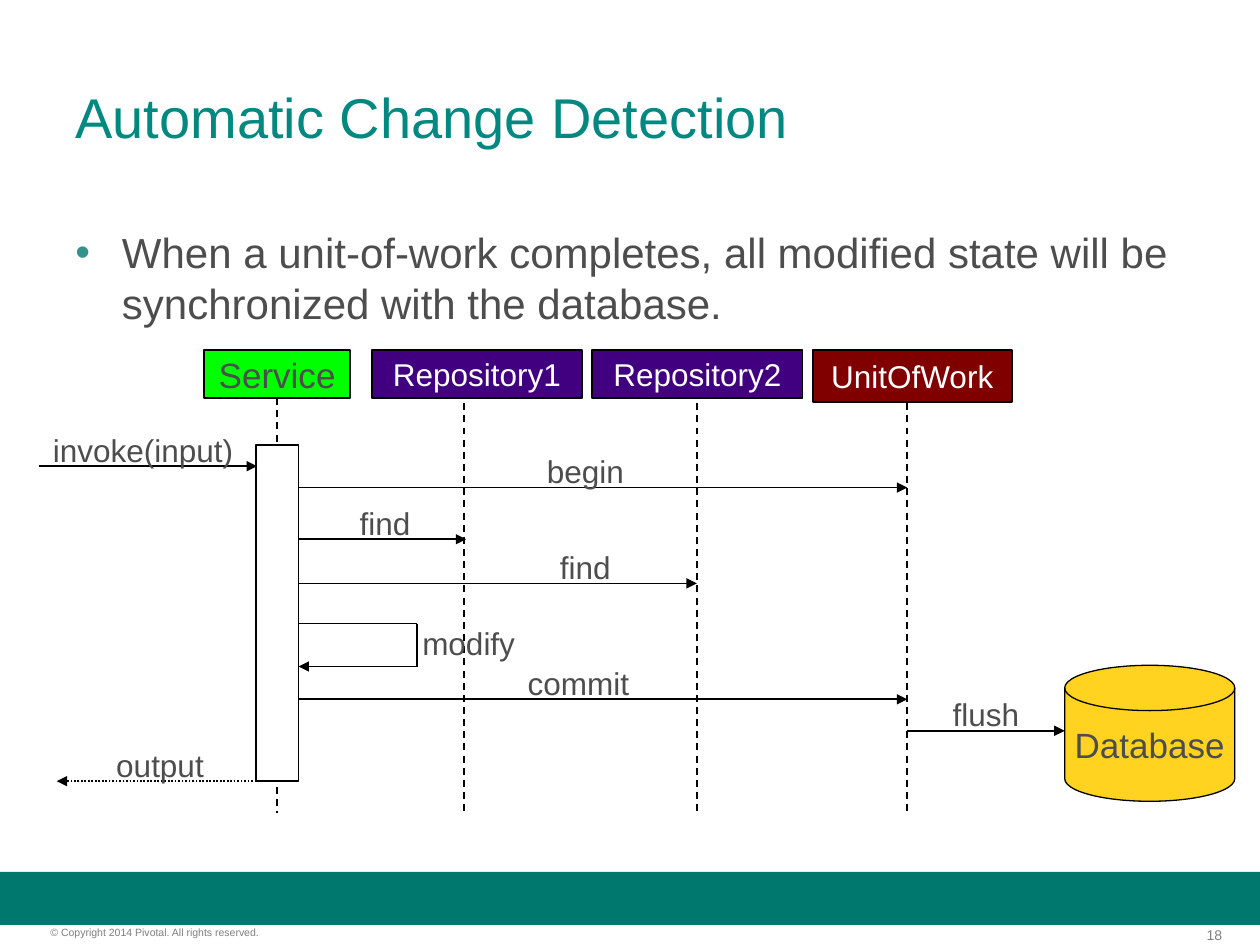
import pptx
import pptx.util
import pptx.oxml
from pptx.dml.color import RGBColor
from pptx.enum.dml import MSO_LINE
from pptx.enum.shapes import MSO_CONNECTOR, MSO_SHAPE
from pptx.enum.text import MSO_ANCHOR, PP_ALIGN
from pptx.oxml.ns import nsdecls

Inches, Pt = pptx.util.Inches, pptx.util.Pt

FONT = "Arial"
TEAL = RGBColor(0x00, 0x88, 0x81)
BULLET_TEAL = RGBColor(0x33, 0x92, 0x8A)
FOOTER_TEAL = RGBColor(0x00, 0x78, 0x6E)
TEXT = RGBColor(0x4D, 0x4D, 0x4D)
GRAY = RGBColor(0x7F, 0x7F, 0x7F)
BLACK = RGBColor(0x00, 0x00, 0x00)
WHITE = RGBColor(0xFF, 0xFF, 0xFF)
GREEN = RGBColor(0x00, 0xFF, 0x00)
PURPLE = RGBColor(0x40, 0x00, 0x80)
MAROON = RGBColor(0x80, 0x00, 0x00)
YELLOW = RGBColor(0xFF, 0xD3, 0x20)

# Content
TITLE = "Automatic Change Detection"
STATEMENT = ("When a unit-of-work completes, all modified state will be "
             "synchronized with the database.")
COPYRIGHT = "© Copyright 2014 Pivotal. All rights reserved."
PAGE = "18"

# Participants: name, left, width, height, fill, text colour, text size
PARTICIPANTS = [
    ("Service", 1.62, 1.16, 0.38, GREEN, TEXT, 20),
    ("Repository1", 2.95, 1.67, 0.38, PURPLE, WHITE, 18),
    ("Repository2", 4.7, 1.67, 0.38, PURPLE, WHITE, 18),
    ("UnitOfWork", 6.45, 1.58, 0.41, MAROON, WHITE, 18),
]
HEADER_TOP = 2.78
LIFELINE_TOP, LIFELINE_BOTTOM = 3.2, 6.45
SERVICE_X, REPO1_X, REPO2_X, UOW_X = 2.2, 3.68, 5.53, 7.2
ACTIVE_LEFT, ACTIVE_RIGHT = 2.03, 2.37
ACTIVE_TOP, ACTIVE_BOTTOM = 3.53, 6.2
DATABASE_LEFT = 8.45
LOOP_RIGHT, LOOP_TOP, LOOP_BOTTOM = 3.31, 4.95, 5.29

# Messages: label, from x, to x, y, label left, label width
MESSAGES = [
    ("invoke(input)", 0.31, 2.04, 3.7, 0.26, 1.75),
    ("begin", ACTIVE_RIGHT, UOW_X, 3.87, 3.77, 1.75),
    ("find", ACTIVE_RIGHT, 3.7, 4.28, 2.4, 1.31),
    ("find", ACTIVE_RIGHT, REPO2_X, 4.63, 3.76, 1.77),
    ("commit", ACTIVE_RIGHT, UOW_X, 5.55, 3.99, 1.2),
    ("flush", UOW_X, DATABASE_LEFT, 5.8, 7.22, 1.21),
]
LABEL_RISE, LABEL_HEIGHT = 0.33, 0.4

prs = pptx.Presentation()
prs.slide_width, prs.slide_height = Inches(10), Inches(7.5)
slide = prs.slides.add_slide(prs.slide_layouts[6])


def write(frame, text, size, color, align, anchor, inset=True):
    frame.vertical_anchor = anchor
    frame.margin_left = frame.margin_right = Inches(0.1 if inset else 0)
    frame.margin_top = frame.margin_bottom = Inches(0.05 if inset else 0)
    paragraph = frame.paragraphs[0]
    paragraph.alignment = align
    run = paragraph.add_run()
    run.text = text
    run.font.name, run.font.size = FONT, Pt(size)
    run.font.color.rgb = color
    return paragraph


def add_text(place, text, size, color, align=PP_ALIGN.LEFT,
             anchor=MSO_ANCHOR.TOP, inset=True):
    frame = slide.shapes.add_textbox(*map(Inches, place)).text_frame
    frame.word_wrap = True
    return write(frame, text, size, color, align, anchor, inset)


def add_box(place, fill, kind=MSO_SHAPE.RECTANGLE, line_width=1):
    box = slide.shapes.add_shape(kind, *map(Inches, place))
    box.shadow.inherit = False
    box.fill.solid()
    box.fill.fore_color.rgb = fill
    if line_width:
        box.line.color.rgb, box.line.width = BLACK, Pt(line_width)
    else:
        box.line.fill.background()
    return box


def add_line(x1, y1, x2, y2, width=1, dash=None, arrow=False):
    line = slide.shapes.add_connector(
        MSO_CONNECTOR.STRAIGHT, *map(Inches, (x1, y1, x2, y2)))
    line.line.color.rgb, line.line.width = BLACK, Pt(width)
    if dash:
        line.line.dash_style = dash
    if arrow:
        line.line._get_or_add_ln().append(pptx.oxml.parse_xml(
            f'<a:tailEnd {nsdecls("a")} type="triangle"/>'))
    line._element.spPr.append(
        pptx.oxml.parse_xml(f'<a:effectLst {nsdecls("a")}/>'))
    return line


def add_label(text, left, width, y):
    add_text((left, y - LABEL_RISE, width, LABEL_HEIGHT), text, 18, TEXT,
             PP_ALIGN.CENTER)


# Footer
add_box((0, 6.92, 10, 0.42), FOOTER_TEAL, line_width=0)
add_text((9.35, 7.35, 0.35, 0.13), PAGE, 8, GRAY, PP_ALIGN.RIGHT, inset=False)
add_text((0.4, 7.35, 2.49, 0.1), COPYRIGHT, 6, GRAY, inset=False)

# Title and statement
add_text((0.5, 0.3, 9, 1.25), TITLE, 32, TEAL, anchor=MSO_ANCHOR.MIDDLE)
statement = add_text((0.5, 1.75, 9, 0.95), STATEMENT, 24, TEXT)
bullet = statement._p.get_or_add_pPr()
bullet.set("marL", str(Inches(0.37)))
bullet.set("indent", str(-Inches(0.37)))
for xml in (f'<a:buClr {{}}><a:srgbClr val="{BULLET_TEAL}"/></a:buClr>',
            f'<a:buFont {{}} typeface="{FONT}"/>',
            '<a:buChar {} char="•"/>'):
    bullet.append(pptx.oxml.parse_xml(xml.format(nsdecls("a"))))

# Participants and lifelines
headers = {}
for name, left, width, height, fill, color, size in PARTICIPANTS:
    headers[name] = add_box((left, HEADER_TOP, width, height), fill)
    write(headers[name].text_frame, name, size, color,
          PP_ALIGN.CENTER, MSO_ANCHOR.MIDDLE)
service_line = add_line(SERVICE_X, 3.16, SERVICE_X, LIFELINE_BOTTOM,
                        dash=MSO_LINE.DASH)
service_line.begin_connect(headers["Service"], 2)
for x in (REPO1_X, REPO2_X, UOW_X):
    add_line(x, LIFELINE_TOP, x, LIFELINE_BOTTOM, dash=MSO_LINE.DASH)

# Service activation and database
activation = add_box((ACTIVE_LEFT, ACTIVE_TOP, ACTIVE_RIGHT - ACTIVE_LEFT,
                      ACTIVE_BOTTOM - ACTIVE_TOP), WHITE)
database = add_box((DATABASE_LEFT, 5.28, 1.35, 1.08), YELLOW,
                   MSO_SHAPE.FLOWCHART_MAGNETIC_DISK, 0.75)
database.text_frame.word_wrap = False
write(database.text_frame, "Database", 20, TEXT,
      PP_ALIGN.CENTER, MSO_ANCHOR.MIDDLE)

# Messages
for text, start, end, y, label_left, label_width in MESSAGES:
    add_line(start, y, end, y, arrow=True)
    add_label(text, label_left, label_width, y)

# Returned output
output = add_line(SERVICE_X, ACTIVE_BOTTOM, 0.45, ACTIVE_BOTTOM,
                  dash=MSO_LINE.ROUND_DOT, arrow=True)
output.begin_connect(activation, 2)
add_label("output", 0.49, 1.56, ACTIVE_BOTTOM)

# Self-call
add_line(ACTIVE_RIGHT, LOOP_TOP, LOOP_RIGHT, LOOP_TOP, 0.75)
add_line(LOOP_RIGHT, LOOP_TOP, LOOP_RIGHT, LOOP_BOTTOM, 0.75)
add_line(LOOP_RIGHT, LOOP_BOTTOM, ACTIVE_RIGHT, LOOP_BOTTOM, 0.75, arrow=True)
add_label("modify", 3.12, 1.2, 5.23)

prs.save("out.pptx")
